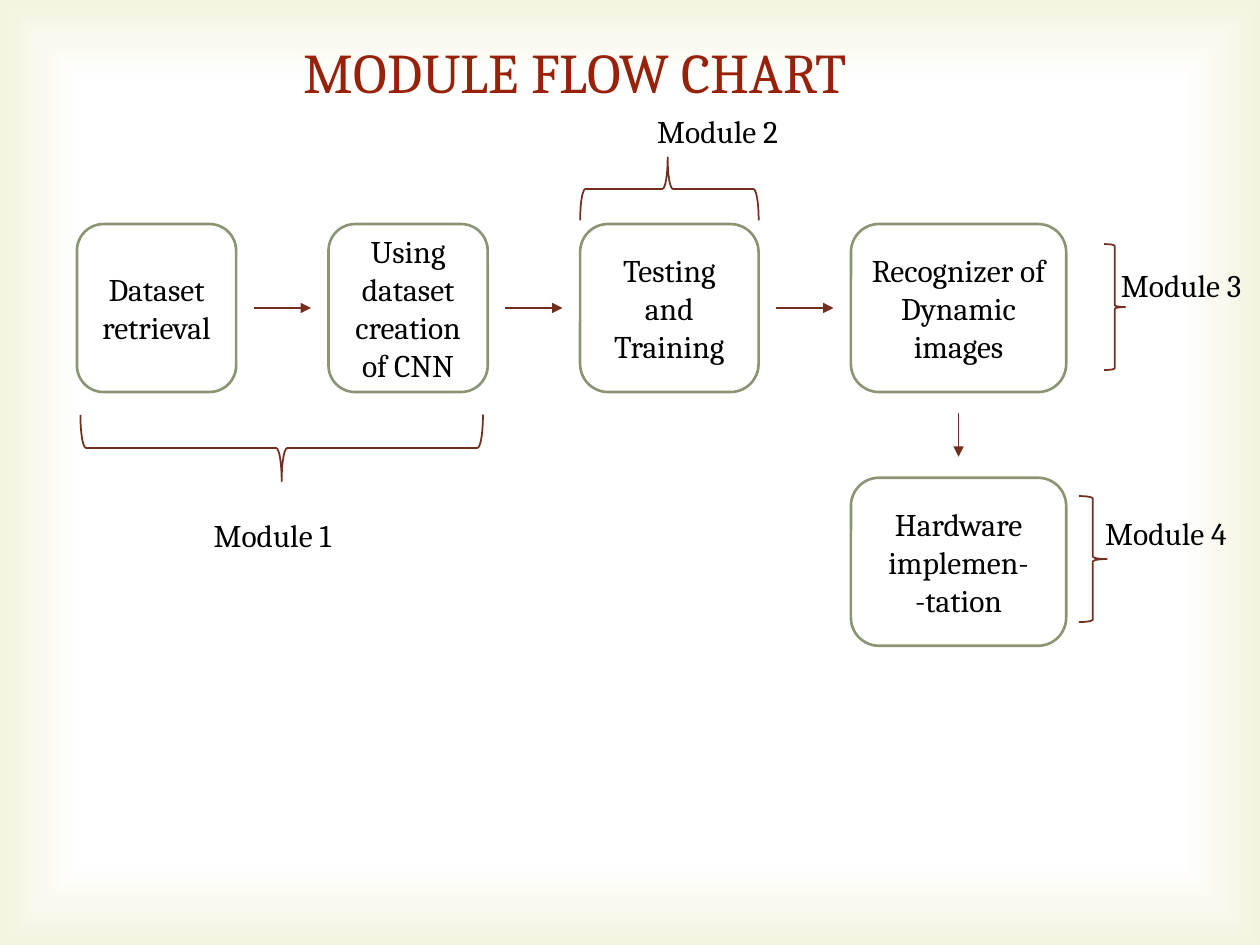
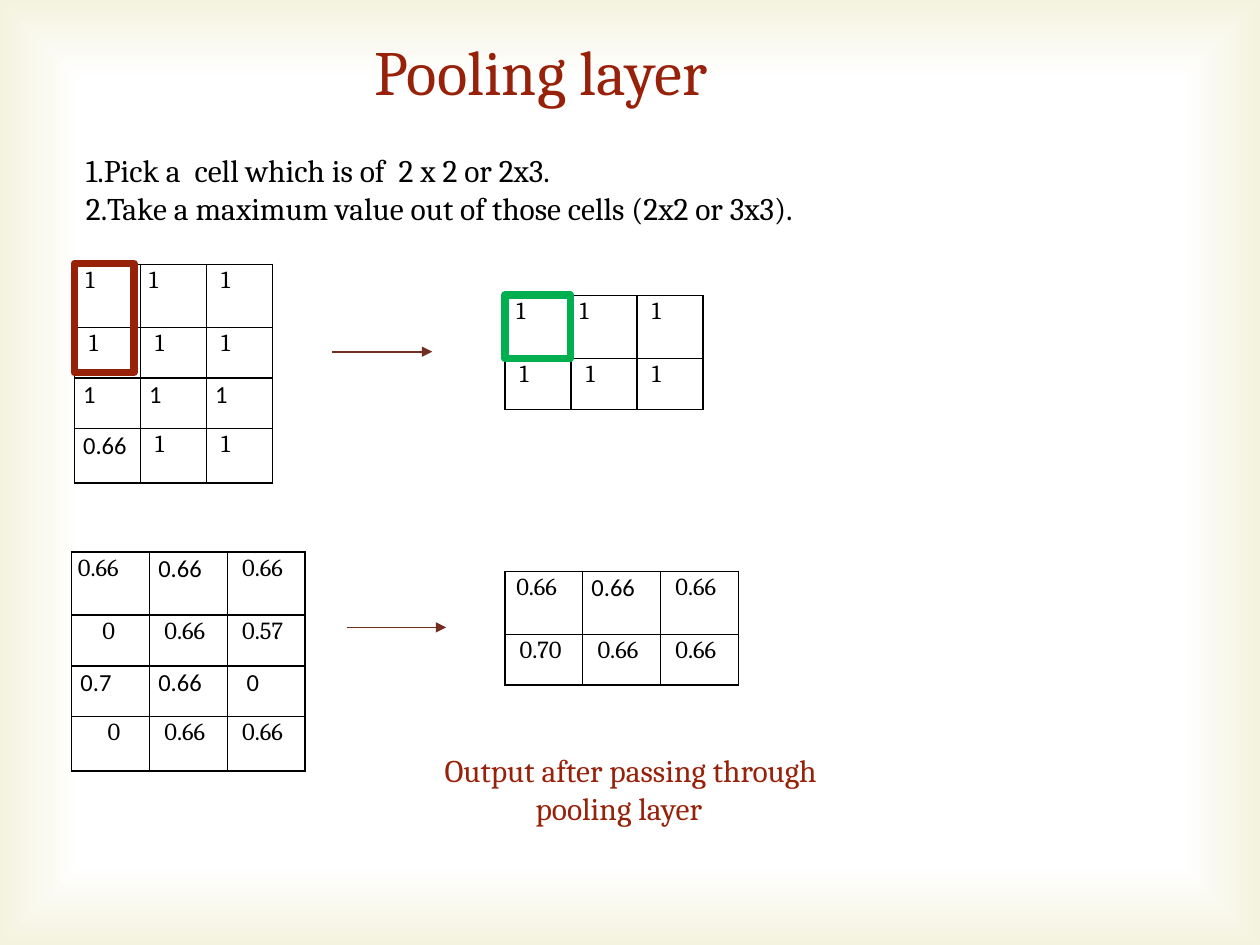
from lxml.etree import SubElement
from pptx import Presentation
from pptx.dml.color import RGBColor
from pptx.enum.shapes import MSO_CONNECTOR, MSO_SHAPE
from pptx.enum.text import MSO_ANCHOR, PP_ALIGN
from pptx.oxml.ns import qn
from pptx.util import Pt

BLACK, WHITE = "000000", "FFFFFF"
RED, BROWN, SAGE, GREEN = "972109", "742E1F", "8C9573", "00B050"
EDGE = "F4F3DF"
SERIF, SANS = "Cambria", "Calibri"

# Table cell style: font and left margin
CELL_STYLES = {
    "edge": (SERIF, 3.5),
    "first": (SERIF, 6.5),
    "plain": (SERIF, 5),
    "inset": (SERIF, 8.5),
    "middle": (SERIF, 17.5),
    "far": (SERIF, 20.5),
    "sans": (SANS, 5),
    "sans_inset": (SANS, 11),
}
ROW_HEIGHTS = [36, 29, 29, 31]


def colour(value):
    return RGBColor.from_string(value)


def set_all(target, values):
    for name, value in values.items():
        setattr(target, name, value)


def shade_edges(master):
    """Give the master a white background that darkens towards its edges."""
    master.background.fill.gradient()
    gradient = master.element.find(".//" + qn("a:gradFill"))
    gradient.clear()
    gradient.set("rotWithShape", "1")
    stops = SubElement(gradient, qn("a:gsLst"))
    for position, value in ((0, WHITE), (83, WHITE), (100, EDGE)):
        stop = SubElement(stops, qn("a:gs"), pos=str(position * 1000))
        SubElement(stop, qn("a:srgbClr"), val=value)
    rectangle = SubElement(gradient, qn("a:path"), {"path": "rect"})
    SubElement(rectangle, qn("a:fillToRect"), l="50000", t="50000", r="50000", b="50000")


class Canvas:
    """The deck's style and the page being drawn."""

    def __init__(self, deck):
        self.deck = deck
        self.page = None

    def new_page(self):
        self.page = self.deck.slides.add_slide(self.deck.slide_layouts[6])

    def put_lines(self, frame, lines, size=18, font=SERIF, ink=BLACK, **layout):
        """Set one paragraph a line; layout holds paragraph attributes."""
        frame.word_wrap = True
        for index, line in enumerate(lines):
            para = frame.paragraphs[0] if index == 0 else frame.add_paragraph()
            set_all(para, layout)
            span = para.add_run()
            span.text = line
            set_all(span.font, {"name": font, "size": Pt(size)})
            span.font.color.rgb = colour(ink)

    def text(self, left, top, width, height, lines, **style):
        box = self.page.shapes.add_textbox(Pt(left), Pt(top), Pt(width), Pt(height))
        self.put_lines(box.text_frame, lines, **style)
        return box

    def title(self, left, top, width, height, words, size):
        self.text(left, top, width, height, [words], size=size, ink=RED)

    def shape(self, kind, left, top, width, height, line, weight, fill=None):
        shape = self.page.shapes.add_shape(kind, Pt(left), Pt(top), Pt(width), Pt(height))
        shape.shadow.inherit = False
        if fill:
            shape.fill.solid()
            shape.fill.fore_color.rgb = colour(fill)
        else:
            shape.fill.background()
        shape.line.color.rgb = colour(line)
        shape.line.width = Pt(weight)
        return shape

    def step(self, left, top, width, height, lines):
        box = self.shape(MSO_SHAPE.ROUNDED_RECTANGLE, left, top, width, height, SAGE, 1.5, WHITE)
        box.text_frame.vertical_anchor = MSO_ANCHOR.MIDDLE
        self.put_lines(box.text_frame, lines, alignment=PP_ALIGN.CENTER)

    def brace(self, kind, left, top, width, height, rotation=0, tip=0.5):
        brace = self.shape(kind, left, top, width, height, BROWN, 1)
        brace.rotation = rotation
        brace.adjustments[1] = tip

    def arrow(self, start_x, start_y, end_x, end_y):
        arrow = self.page.shapes.add_connector(
            MSO_CONNECTOR.STRAIGHT, Pt(start_x), Pt(start_y), Pt(end_x), Pt(end_y))
        arrow.line.color.rgb = colour(BROWN)
        arrow.line.width = Pt(1)
        SubElement(arrow.element.find(".//" + qn("a:ln")), qn("a:tailEnd"), type="triangle")
        SubElement(arrow.element.spPr, qn("a:effectLst"))

    def table(self, left, top, column_width, rows):
        """Draw rows of (value, cell style) pairs in a black grid."""
        columns = len(rows[0])
        heights = ROW_HEIGHTS[:len(rows)]
        table = self.page.shapes.add_table(
            len(rows), columns, Pt(left), Pt(top),
            Pt(column_width * columns), Pt(sum(heights))).table
        set_all(table, {"first_row": False, "horz_banding": False})
        for column in table.columns:
            column.width = Pt(column_width)
        for row_index, (height, row) in enumerate(zip(heights, rows)):
            table.rows[row_index].height = Pt(height)
            for column_index, (value, style) in enumerate(row):
                self.cell(table.cell(row_index, column_index), value, style)

    def cell(self, cell, value, style):
        font, margin = CELL_STYLES[style]
        set_all(cell, {"margin_left": Pt(margin), "margin_right": Pt(2),
                       "margin_top": 0, "margin_bottom": 0})
        properties = cell._tc.get_or_add_tcPr()
        for side in ("lnL", "lnR", "lnT", "lnB"):
            border = SubElement(properties, qn("a:" + side), w=str(Pt(1)))
            SubElement(SubElement(border, qn("a:solidFill")), qn("a:srgbClr"), val=BLACK)
        cell.fill.background()
        self.put_lines(cell.text_frame, [value], size=14, font=font, line_spacing=1.07)


def draw_flow_chart(canvas):
    canvas.new_page()
    canvas.title(166.5, 18, 388, 46, "MODULE FLOW CHART", 32)

    top, height, gap, margin = 128, 96, 52.75, 10
    steps = [
        (91, ["Dataset retrieval"]),
        (91, ["Using dataset creation of CNN"]),
        (102, ["Testing and", "Training"]),
        (123, ["Recognizer of Dynamic", "images"]),
    ]
    left, middle = 44, top + height / 2
    for index, (width, lines) in enumerate(steps):
        if index:
            canvas.arrow(left - gap + margin, middle, left - margin, middle)
        canvas.step(left, top, width, height, lines)
        left += width + gap

    last_left, hardware_top = left - gap - width, 273
    canvas.step(last_left, hardware_top, width, height, ["Hardware", "implemen-", "-tation"])
    center = last_left + width / 2
    canvas.arrow(center, top + height + 12, center, hardware_top - 12)

    canvas.brace(MSO_SHAPE.LEFT_BRACE, 142, 141, 38, 230, rotation=270)
    canvas.brace(MSO_SHAPE.LEFT_BRACE, 364.5, 57, 36, 102, rotation=90, tip=0.51)
    canvas.brace(MSO_SHAPE.RIGHT_BRACE, 631, 139.5, 12, 72)
    canvas.brace(MSO_SHAPE.RIGHT_BRACE, 616.5, 283.5, 16, 72)

    labels = [(115, 291.5), (368.5, 60.5), (633.5, 148.5), (624.5, 290)]
    for number, (label_left, label_top) in enumerate(labels, start=1):
        canvas.text(label_left, label_top, 86, 29, [f"Module {number}"])


def draw_pooling(canvas):
    canvas.new_page()
    canvas.title(207, 15, 240, 51, "Pooling layer", 36)
    canvas.text(42, 83, 459, 51, [
        "1.Pick a  cell which is of  2 x 2 or 2x3.",
        "2.Take a maximum value out of those cells (2x2 or 3x3).",
    ])

    ones_top = [("1", "first"), ("1", "plain"), ("1", "inset")]
    ones = [("1", "inset")] * 3
    canvas.table(42.5, 151, 37.75, [
        ones_top,
        ones,
        [("1", "sans")] * 3,
        [("0.66", "sans")] + ones[1:],
    ])
    canvas.table(288.5, 169, 37.75, [ones_top, ones])

    pair_top = [("0.66", "sans"), ("0.66", "inset")]
    canvas.table(41, 315.5, 44.5, [
        [("0.66", "edge")] + pair_top,
        [("0", "middle"), ("0.66", "inset"), ("0.57", "inset")],
        [("0.7", "sans"), ("0.66", "sans"), ("0", "sans_inset")],
        [("0", "far"), ("0.66", "inset"), ("0.66", "inset")],
    ])
    canvas.table(288.5, 326.5, 44.5, [
        [("0.66", "first")] + pair_top,
        [("0.70", "inset"), ("0.66", "inset"), ("0.66", "inset")],
    ])

    for left, middle in ((190, 201), (198, 358.5)):
        canvas.arrow(left, middle, left + 57, middle)

    caption = canvas.text(247, 425.5, 255, 51,
                          ["Output after passing through", "pooling layer"], ink=RED)
    caption.text_frame.paragraphs[1]._p.get_or_add_pPr().set("marL", str(Pt(52)))

    canvas.shape(MSO_SHAPE.RECTANGLE, 42.5, 150.5, 34, 62.5, RED, 4.25)
    canvas.shape(MSO_SHAPE.RECTANGLE, 288.5, 168.5, 37.5, 36.5, GREEN, 4.25)


def main():
    deck = Presentation()
    set_all(deck, {"slide_width": Pt(720), "slide_height": Pt(540)})
    shade_edges(deck.slide_master)
    canvas = Canvas(deck)
    draw_flow_chart(canvas)
    draw_pooling(canvas)
    deck.save("out.pptx")


if __name__ == "__main__":
    main()
